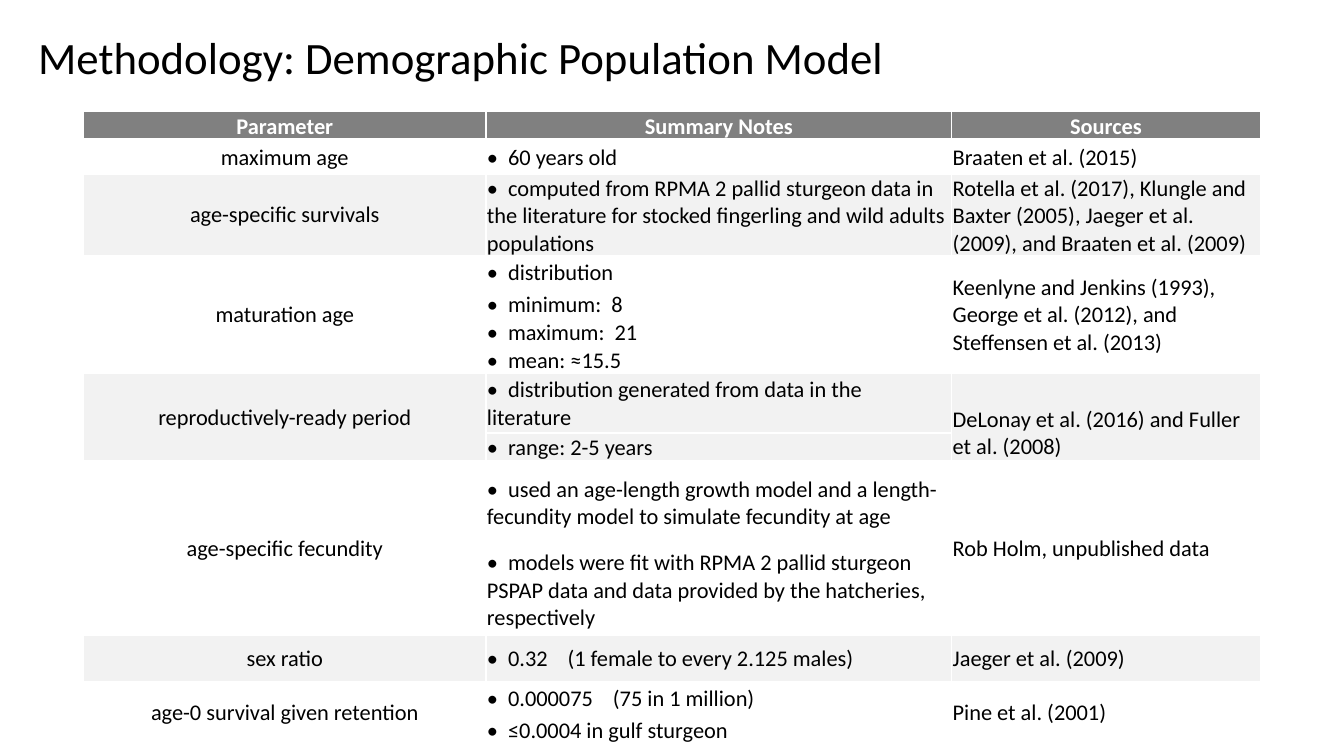
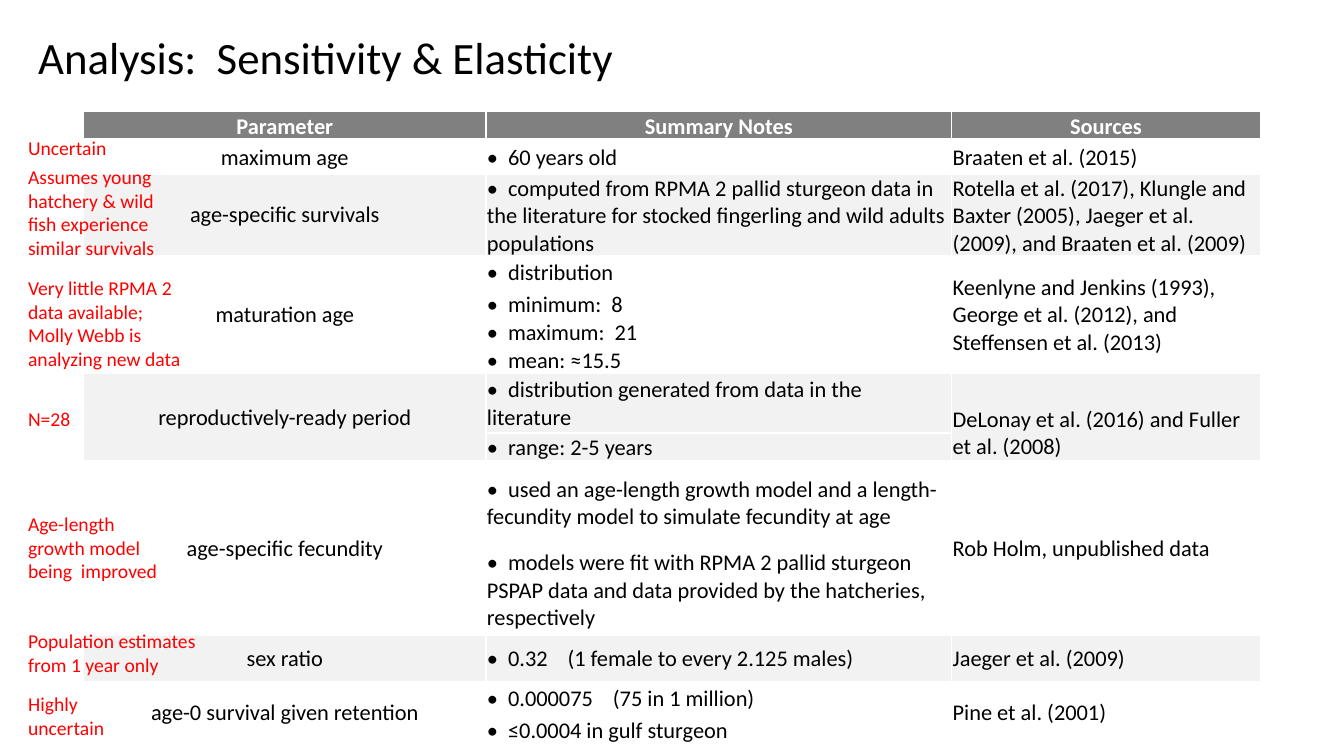
from dataclasses import dataclass
from lxml.etree import SubElement as Sub
from pptx import Presentation
from pptx.dml.color import RGBColor as Color
from pptx.enum.text import MSO_ANCHOR as Anchor, MSO_AUTO_SIZE as Fit, PP_ALIGN as Align
from pptx.oxml.ns import qn
from pptx.util import Inches, Pt


@dataclass(frozen=True)
class Theme:
    """Colours, font and type sizes shared by all slides."""
    font: str = "Calibri"
    ink: str = "000000"
    white: str = "FFFFFF"
    head: str = "808080"
    band: str = "F2F2F2"
    alert: str = "FF0000"
    title: int = 32
    body: int = 16
    note: int = 14
    tabs: tuple = (0.21, 0.8, 1.25)


THEME = Theme()
HEADS = ("Parameter", "Summary Notes", "Sources")
COLS = (3.99, 4.62, 3.06)
ROWS = (0.24, 0.34, 0.68, 0.34, 0.24, 0.24, 0.24,
        0.59, 0.24, 0.83, 0.9, 0.46, 0.34, 0.24)
MID, LOW = Anchor.MIDDLE, Anchor.BOTTOM
GROUPS = (
    ("maximum age", ("60 years old",), "Braaten et al. (2015)", MID),
    ("age-specific survivals",
     ("computed from RPMA 2 pallid sturgeon data in the literature for "
      "stocked fingerling and wild adults populations",),
     "Rotella et al. (2017), Klungle and Baxter (2005), Jaeger et al. (2009), "
     "and Braaten et al. (2009)", MID),
    ("maturation age",
     ("distribution", "minimum:  8", "maximum:  21", "mean: ≈15.5"),
     "Keenlyne and Jenkins (1993), George et al. (2012), and "
     "Steffensen et al. (2013)", MID),
    ("reproductively-ready period",
     ("distribution generated from data in the literature",
      "range: 2-5 years"),
     "DeLonay et al. (2016) and Fuller et al. (2008)", LOW),
    ("age-specific fecundity",
     ("used an age-length growth model and a length-fecundity model to "
      "simulate fecundity at age",
      "models were fit with RPMA 2 pallid sturgeon PSPAP data and data "
      "provided by the hatcheries, respectively"),
     "Rob Holm, unpublished data", MID),
    ("sex ratio", ("0.32\t(1 female to every 2.125 males)",),
     "Jaeger et al. (2009)", MID),
    ("age-0 survival given retention",
     ("0.000075\t(75 in 1 million)", "≤0.0004 in gulf sturgeon"),
     "Pine et al. (2001)", MID),
)
NOTES = (
    ("Very little RPMA 2 data available; Molly Webb is analyzing new data",
     2.69, 1.75, 1.04),
    ("Population estimates from 1 year only", 6.19, 2.25, 0.57),
    ("N=28", 3.99, 1.63, 0.34),
    ("Highly uncertain", 6.82, 1.09, 0.57),
    ("Age-length growth model being  improved", 5.03, 1.63, 0.81),
    ("Assumes young hatchery & wild fish experience similar survivals",
     1.59, 1.63, 1.04),
    ("Uncertain", 1.3, 1.63, 0.34),
)


def write(frame, text, size, color, bold=False, align=Align.LEFT, tabs=()):
    """Put one formatted paragraph into a text frame."""
    para = frame.paragraphs[0]
    para.alignment = align
    run = para.add_run()
    run.text = text
    run.font.name, run.font.size, run.font.bold = THEME.font, Pt(size), bold
    run.font.color.rgb = Color.from_string(color)
    if tabs:
        stops = Sub(para._p.get_or_add_pPr(), qn("a:tabLst"))
        for pos in tabs:
            Sub(stops, qn("a:tab"), pos=str(Inches(pos)), algn="l")


class Deck:
    """Style and current slide, with a method for each kind of element."""

    def __init__(self, theme):
        """Start an empty wide deck."""
        self.theme = theme
        self.prs = Presentation()
        self.prs.slide_width, self.prs.slide_height = Inches(13.33), Inches(7.5)

    def page(self):
        """Add a blank slide and make it current."""
        self.slide = self.prs.slides.add_slide(self.prs.slide_layouts[6])

    def label(self, text, x, y, w, h, size, color):
        """Add a wrapped text box."""
        box = self.slide.shapes.add_textbox(*map(Inches, (x, y, w, h)))
        frame = box.text_frame
        frame.word_wrap, frame.auto_size = True, Fit.SHAPE_TO_FIT_TEXT
        write(frame, text, size, color)

    def title(self, text):
        """Add the slide heading."""
        self.label(text, 0.28, 0.25, 12.74, 0.64, self.theme.title, self.theme.ink)

    def note(self, text, y, w, h):
        """Add a red remark at the left edge."""
        self.label(text, 0.18, y, w, h, self.theme.note, self.theme.alert)

    def edge(self, cell, base):
        """Draw white borders around a cell."""
        props = cell._tc.get_or_add_tcPr()
        for side, width in zip("LRTB", (1, 1, 1, base)):
            line = Sub(props, qn("a:ln" + side), w=str(Pt(width)))
            Sub(Sub(line, qn("a:solidFill")), qn("a:srgbClr"), val=self.theme.white)

    def style(self, cell, fill, base=1):
        """Set margins, borders and fill of a cell."""
        cell.margin_left = cell.margin_right = cell.margin_top = Inches(0.01)
        cell.margin_bottom = 0
        self.edge(cell, base)
        if fill:
            cell.fill.solid()
            cell.fill.fore_color.rgb = Color.from_string(fill)
        else:
            cell.fill.background()

    def cell(self, cell, text, anchor=MID, color=None, **form):
        """Write the text of a cell."""
        cell.vertical_anchor = anchor
        write(cell.text_frame, text, self.theme.body, color or self.theme.ink, **form)

    def table(self):
        """Add the parameter table with one band per group."""
        grid = self.slide.shapes.add_table(
            len(ROWS), len(COLS), *map(Inches, (0.83, 1.11, sum(COLS), sum(ROWS)))).table
        grid.horz_banding = False
        for col, width in zip(grid.columns, COLS):
            col.width = Inches(width)
        for row, height in zip(grid.rows, ROWS):
            row.height = Inches(height)
        for col, text in enumerate(HEADS):
            self.style(grid.cell(0, col), self.theme.head, 3)
            self.cell(grid.cell(0, col), text, LOW, self.theme.white,
                      bold=True, align=Align.CENTER)
        top = 1
        for index, (name, notes, source, anchor) in enumerate(GROUPS):
            last = top + len(notes) - 1
            for row, text in enumerate(notes, top):
                for col in range(len(COLS)):
                    self.style(grid.cell(row, col), self.theme.band if index % 2 else None)
                self.cell(grid.cell(row, 1), "•\t" + text, tabs=self.theme.tabs)
            if last > top:
                for col in (0, 2):
                    grid.cell(top, col).merge(grid.cell(last, col))
            self.cell(grid.cell(top, 0), name, align=Align.CENTER)
            self.cell(grid.cell(top, 2), source, anchor)
            top = last + 1


def main():
    """Build both slides and save the deck."""
    deck = Deck(THEME)
    deck.page()
    deck.title("Methodology: Demographic Population Model")
    deck.table()

    deck.page()
    deck.table()
    for note in NOTES:
        deck.note(*note)
    deck.title("Analysis:  Sensitivity & Elasticity")
    deck.prs.save("out.pptx")


main()
